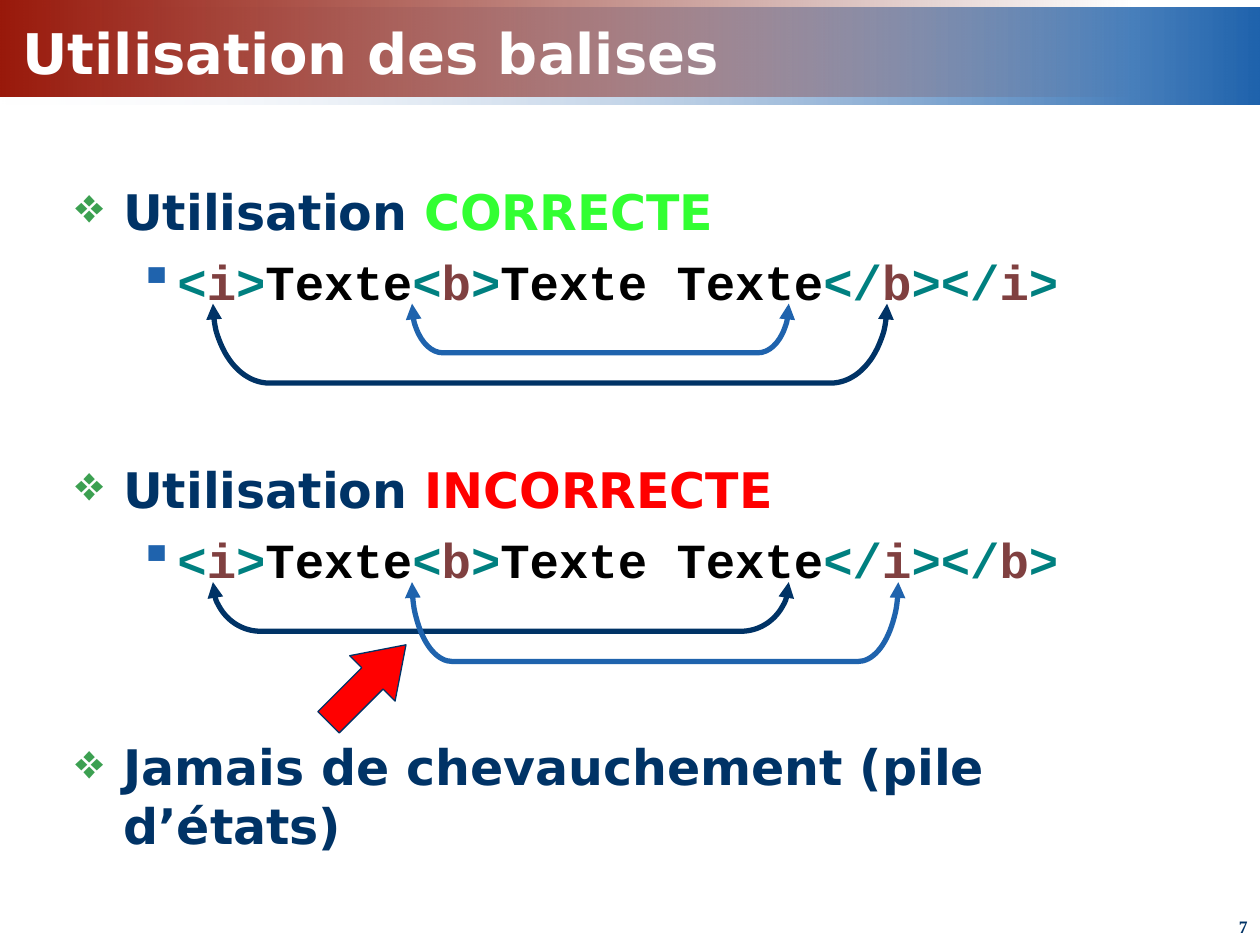
from dataclasses import dataclass
from itertools import groupby
from typing import Iterator, NamedTuple

from lxml.etree import SubElement
from pptx import Presentation
from pptx.dml.color import RGBColor
from pptx.enum.shapes import MSO_SHAPE as Preset
from pptx.enum.text import MSO_ANCHOR as Anchor, PP_ALIGN as Align
from pptx.oxml.ns import qn
from pptx.util import Inches, Pt

COLUMNS, ROWS = 100, 75  # square cells over the whole slide


@dataclass(frozen=True)
class Theme:
    navy: str = "003366"
    blue: str = "1F63AD"
    green: str = "3CA051"
    correct: str = "32FF32"
    wrong: str = "FF0000"
    white: str = "FFFFFF"
    mist: str = "F1F2F7"
    brick: str = "99190B"
    maroon: str = "6D1208"
    punctuation: str = "008080"
    tag_name: str = "804040"
    content: str = "000000"
    sans: str = "DejaVu Sans"
    mono: str = "Courier New"
    serif: str = "Times New Roman"
    title_size: int = 32
    body_size: int = 28
    number_size: int = 10


THEME = Theme()


class Area(NamedTuple):
    """A rectangle in grid columns and rows."""
    left: float
    top: float
    width: float
    height: float


class Piece(NamedTuple):
    text: str
    color: str


class Stop(NamedTuple):
    color: str
    clear: bool = False


class Level(NamedTuple):
    bullet: str
    bullet_color: str
    margin: float
    hanging: float
    font: str


class Line(NamedTuple):
    level: Level
    pieces: list[Piece]
    space_before: float


class Link(NamedTuple):
    """A bracket below a code line, joining an opening and a closing tag."""
    left: float
    top: float
    width: float
    depth: float
    bend: float
    color: str


presentation = Presentation()
presentation.slide_width, presentation.slide_height = Inches(10), Inches(7.5)
slide = presentation.slides.add_slide(presentation.slide_layouts[6])
CELL_WIDTH = presentation.slide_width / COLUMNS
CELL_HEIGHT = presentation.slide_height / ROWS


def place(area: Area) -> tuple[int, int, int, int]:
    return (int(area.left * CELL_WIDTH), int(area.top * CELL_HEIGHT),
            int(area.width * CELL_WIDTH), int(area.height * CELL_HEIGHT))


def rgb(color: str) -> RGBColor:
    return RGBColor.from_string(color)


def add_preset(preset: Preset, area: Area):
    shape = slide.shapes.add_shape(preset, *place(area))
    shape.shadow.inherit = False
    return shape


def add_band(area: Area, stops: tuple[Stop, Stop]) -> None:
    band = add_preset(Preset.RECTANGLE, area)
    band.line.fill.background()
    band.fill.gradient()
    band.fill.gradient_angle = 0
    for gradient_stop, stop in zip(band.fill.gradient_stops, stops):
        gradient_stop.color.rgb = rgb(stop.color)
    for element, stop in zip(band._element.spPr.iter(qn("a:srgbClr")), stops):
        if stop.clear:
            SubElement(element, qn("a:alpha"), val="0")


def add_text_frame(area: Area, anchor: Anchor = Anchor.TOP):
    frame = slide.shapes.add_textbox(*place(area)).text_frame
    frame.word_wrap = True
    frame.vertical_anchor = anchor
    return frame


def style(paragraph, font: str, size: int) -> None:
    paragraph.font.name, paragraph.font.size = font, Pt(size)
    paragraph.font.bold = True


def add_pieces(paragraph, pieces: list[Piece]) -> None:
    for piece in pieces:
        run = paragraph.add_run()
        run.text = piece.text
        run.font.color.rgb = rgb(piece.color)


def set_bullet(paragraph, level: Level) -> None:
    properties = paragraph._p.get_or_add_pPr()
    properties.set("marL", str(Inches(level.margin)))
    properties.set("indent", str(-Inches(level.hanging)))
    # The bullet must stand before the default run properties
    default_run = properties.find(qn("a:defRPr"))
    color = SubElement(properties, qn("a:buClr"))
    SubElement(color, qn("a:srgbClr"), val=level.bullet_color)
    SubElement(properties, qn("a:buChar"), char=level.bullet)
    properties.append(default_run)


def highlight(code: str) -> list[Piece]:
    """Split markup into coloured punctuation, tag names and content."""
    def colored() -> Iterator[tuple[str, str]]:
        inside = False
        for letter in code:
            if letter in "</>":
                inside = letter != ">"
                yield letter, THEME.punctuation
            else:
                yield letter, THEME.tag_name if inside else THEME.content
    return [Piece("".join(letter for letter, _ in group), color)
            for color, group in groupby(colored(), key=lambda pair: pair[1])]


def add_link(link: Link) -> None:
    # The preset opens to the right; a quarter turn makes it open upwards
    center_x, center_y = link.left + link.width / 2, link.top + link.depth / 2
    bracket = add_preset(Preset.LEFT_BRACKET, Area(
        center_x - link.depth / 2, center_y - link.width / 2, link.depth, link.width))
    bracket.rotation = 270
    bracket.adjustments[0] = link.bend
    bracket.fill.background()
    bracket.line.color.rgb, bracket.line.width = rgb(link.color), Pt(3)
    outline = bracket.line._get_or_add_ln()
    for end in ("a:headEnd", "a:tailEnd"):
        SubElement(outline, qn(end), type="triangle")


# Header bands and title
add_band(Area(0, 0.6, 100, 7.7), (Stop(THEME.mist, True), Stop(THEME.blue)))
add_band(Area(0, 0, 90, 7.7), (Stop(THEME.brick), Stop(THEME.maroon, True)))
title = add_text_frame(Area(0.8, 0, 99.2, 8.3), Anchor.MIDDLE).paragraphs[0]
style(title, THEME.sans, THEME.title_size)
add_pieces(title, [Piece("Utilisation des balises", THEME.white)])

# Rules with their examples; wide gaps leave room for the brackets
HEADING = Level("❖", THEME.green, 0.38, 0.38, THEME.sans)
CODE = Level("▪", THEME.blue, 0.81, 0.31, THEME.mono)
TIGHT, WIDE = 6.5, 85
usage = Piece("Utilisation ", THEME.navy)
lines = [
    Line(HEADING, [usage, Piece("CORRECTE", THEME.correct)], TIGHT),
    Line(CODE, highlight("<i>Texte<b>Texte Texte</b></i>"), TIGHT),
    Line(HEADING, [usage, Piece("INCORRECTE", THEME.wrong)], WIDE),
    Line(CODE, highlight("<i>Texte<b>Texte Texte</i></b>"), TIGHT),
    Line(HEADING, [Piece("Jamais de chevauchement (pile d’états)", THEME.navy)], WIDE),
]
body = add_text_frame(Area(5, 13.9, 90, 55.1))
for index, line in enumerate(lines):
    paragraph = body.add_paragraph() if index else body.paragraphs[0]
    paragraph.space_before = Pt(line.space_before)
    style(paragraph, line.level.font, THEME.body_size)
    set_bullet(paragraph, line.level)
    add_pieces(paragraph, line.pieces)

# Brackets: nested in the first example, crossing in the second
ITALIC, BOLD = 16.9, 32.7
NESTED, CROSSED = 24.1, 46.2
SHALLOW, DEEP = 3.9, 6.3
for link in (
    Link(BOLD, NESTED, 29.9, SHALLOW, 0.63, THEME.blue),
    Link(ITALIC, NESTED, 53.5, DEEP, 0.71, THEME.navy),
    Link(ITALIC, CROSSED, 45.7, SHALLOW, 0.97, THEME.navy),
    Link(BOLD, CROSSED, 38.6, DEEP, 0.51, THEME.blue),
):
    add_link(link)

# Arrow at the crossing
arrow = add_preset(Preset.RIGHT_ARROW, Area(24.8, 51.7, 8.7, 5.1))
arrow.rotation = 315
arrow.adjustments[0], arrow.adjustments[1] = 0.47, 0.74
arrow.fill.solid()
arrow.fill.fore_color.rgb = rgb(THEME.wrong)
arrow.line.color.rgb, arrow.line.width = rgb(THEME.navy), Pt(0.75)

# Slide number
number = add_text_frame(Area(76.7, 72.2, 23.3, 2.8)).paragraphs[0]
number.alignment = Align.RIGHT
style(number, THEME.serif, THEME.number_size)
add_pieces(number, [Piece("7", THEME.navy)])

presentation.save("out.pptx")
